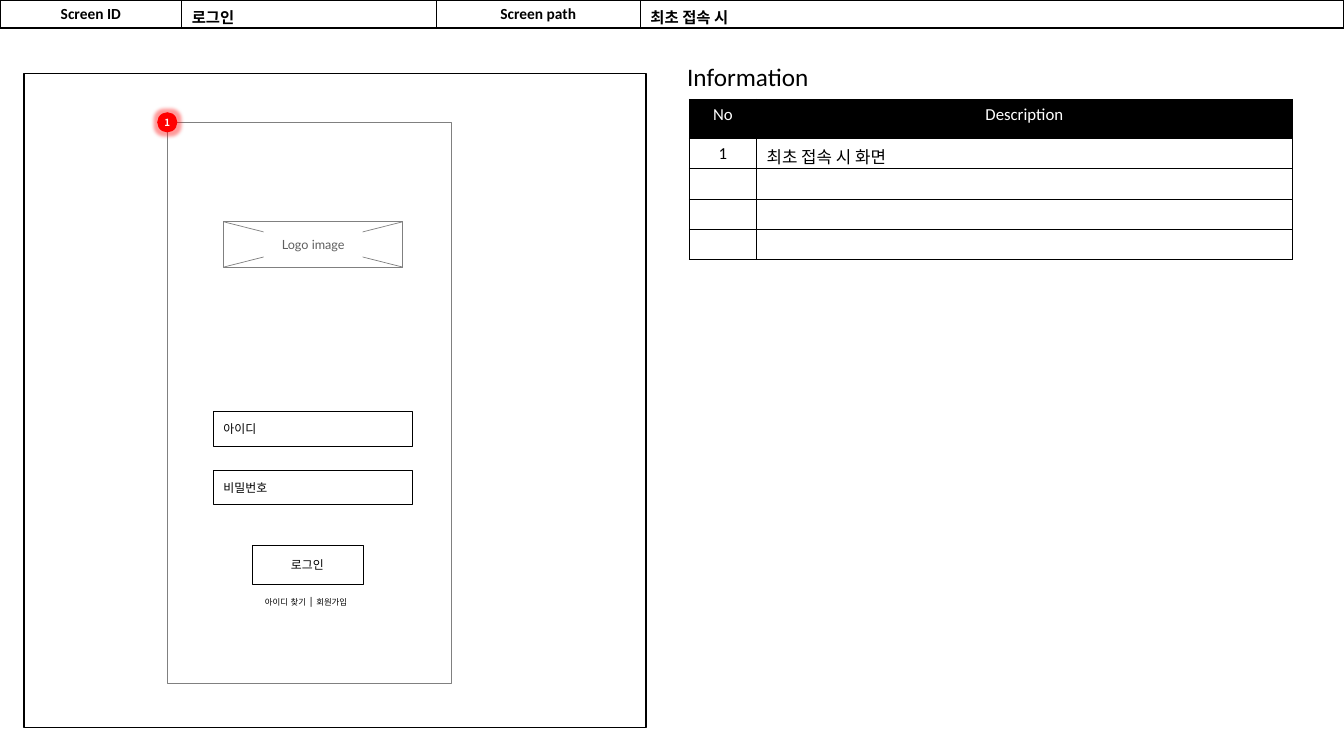
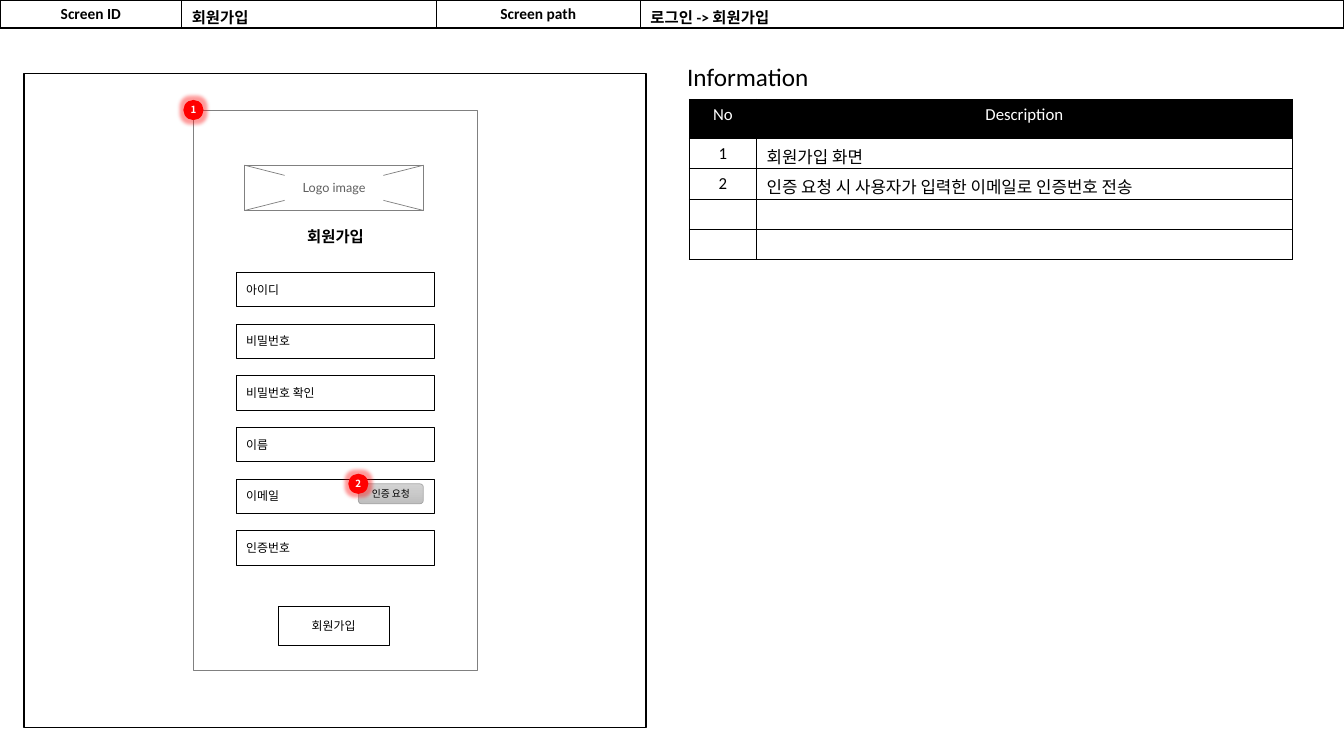
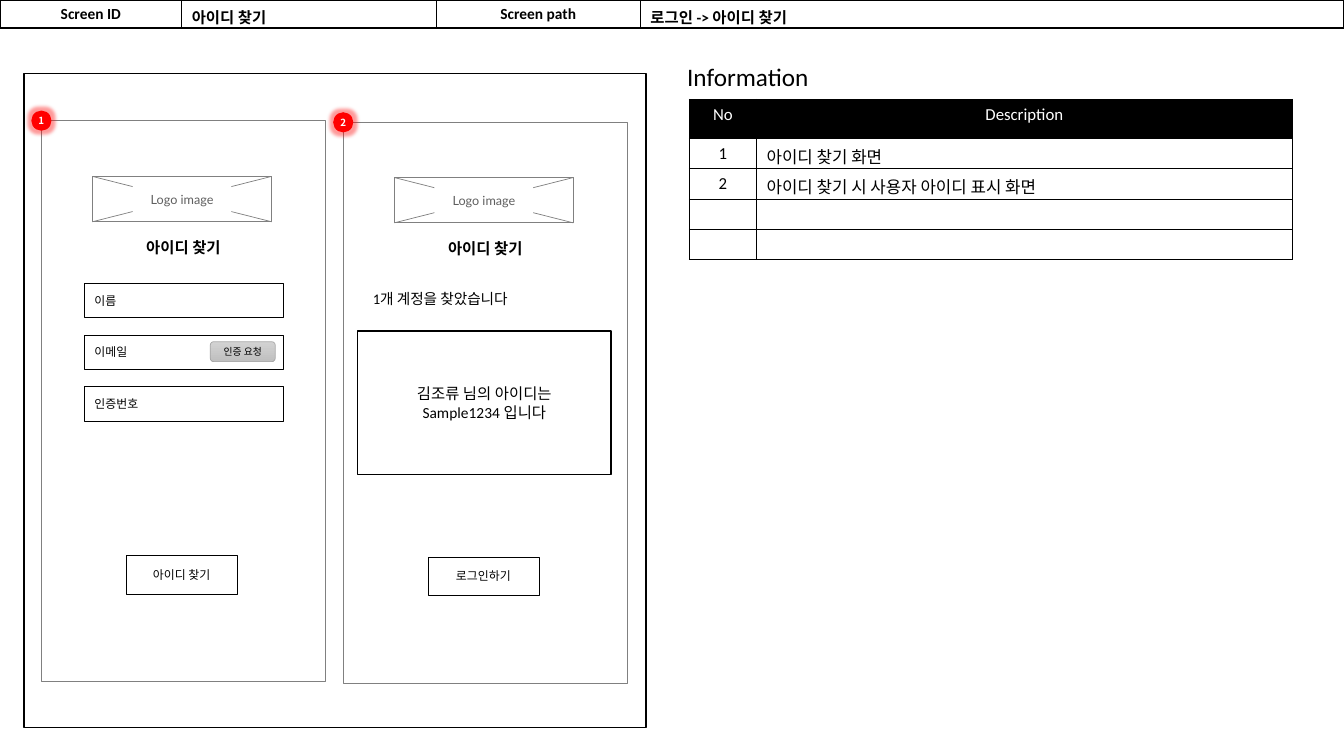
import pptx
import pptx.util
import pptx.dml.color
import pptx.enum.dml
import pptx.enum.shapes
import pptx.enum.text
import pptx.oxml
from dataclasses import dataclass

Pt = pptx.util.Pt
Kind = pptx.enum.shapes.MSO_SHAPE
Align = pptx.enum.text.PP_ALIGN
Mid = pptx.enum.text.MSO_ANCHOR
NS = 'xmlns:a="http://schemas.openxmlformats.org/drawingml/2006/main"'


@dataclass(frozen=True)
class Theme:
    ink: str = "000000"
    paper: str = "FFFFFF"
    frame: str = "808080"
    label: str = "5F5F5F"
    red: str = "FF0000"
    edge: str = "A5A5A5"
    shade: tuple = ("D2D2D2", "C0C0C0")
    sans: str = "Calibri"
    form: str = "Lato"
    mark: str = "Noto Sans CJK KR"
    head: float = 18
    body: float = 12
    band: float = 11
    note: float = 10.5
    logo: float = 9
    field: float = 8.5
    bar: float = 8
    small: float = 7
    link: float = 6


T = Theme()
rgb = pptx.dml.color.RGBColor.from_string


def write(frame, text, size, font=T.sans, color=T.ink, bold=False, align=Align.LEFT):
    """Fill a text frame; every paragraph gets the same font."""
    frame.word_wrap = True
    frame.text = text
    for para in frame.paragraphs:
        para.alignment = align
        para.font.size = Pt(size)
        para.font.name = font
        para.font.bold = bold
        para.font.color.rgb = rgb(color)


def draw(slide, kind, at, line=None, width=1, fill=T.paper):
    """Add a flat preset shape; at is left, top, width, height in points."""
    shape = slide.shapes.add_shape(kind, *map(Pt, at))
    shape.shadow.inherit = False
    shape.fill.solid()
    shape.fill.fore_color.rgb = rgb(fill)
    if line:
        shape.line.color.rgb = rgb(line)
        shape.line.width = Pt(width)
    else:
        shape.line.fill.background()
    shape.text_frame.vertical_anchor = Mid.MIDDLE
    return shape


# Sizes of the wireframe parts
PHONE = (203, 400.5)
LOGO = (128, 32.4)
LABEL = (70.6, 20.9)
FIELD = (141.6, 24.6)
BUTTON = (79.4, 27.6)
SEND = (46.4, 14.2)
DOT = 14.4

# Content: each phone holds offsets from its own top left corner
pages = [
    dict(name="로그인", way="최초 접속 시", notes=["최초 접속 시 화면"], phones=[
        dict(at=(119.5, 87.4), logo=(40.2, 71), title="", form=(33, 206.4), step=42,
             fields=["아이디", "비밀번호"], button=("로그인", 302.4)),
    ]),
    dict(name="회원가입", way="로그인 -> 회원가입",
         notes=["회원가입 화면", "인증 요청 시 사용자가 입력한 이메일로 인증번호 전송"], phones=[
        dict(at=(138.2, 78.6), logo=(36.4, 39.4), title="회원가입", form=(30.6, 115.8), step=36.9,
             fields=["아이디", "비밀번호", "비밀번호 확인", "이름", "이메일", "인증번호"],
             send=(87.2, 3.6), tag="2", button=("회원가입", 354.6)),
    ]),
    dict(name="아이디 찾기", way="로그인 -> 아이디 찾기",
         notes=["아이디 찾기 화면", "아이디 찾기 시 사용자 아이디 표시 화면"], phones=[
        dict(at=(29.6, 86.2), logo=(36.4, 39.8), title="아이디 찾기", form=(30.8, 116), step=36.9,
             fields=["이름", "이메일", "인증번호"], send=(89.8, 5), button=("아이디 찾기", 310.4)),
        dict(at=(245.2, 87.4), logo=(36.4, 39.4), title="아이디 찾기", form=(0, 0), step=0,
             fields=[], button=("로그인하기", 310.4)),
    ]),
]

deck = pptx.Presentation()
deck.slide_width, deck.slide_height = Pt(960), Pt(540)

for page in pages:
    slide = deck.slides.add_slide(deck.slide_layouts[6])
    draw(slide, Kind.RECTANGLE, (17.3, 52.4, 444.3, 467.3), T.ink)

    # Heading of the notes
    head = slide.shapes.add_textbox(Pt(483.8), Pt(40.6), Pt(108), Pt(29))
    write(head.text_frame, "Information", T.head)

    # Top band and notes table
    notes = [[str(no), note] for no, note in enumerate(page["notes"], 1)]
    notes += [["", ""]] * (4 - len(notes))
    grids = [
        dict(at=(0, 0), cols=[129.8, 181.8, 145.8, 502.6], rows=[20.2], size=T.band, bold=True,
             base=2, foot=0, mids=(0, 2), cells=[["Screen ID", page["name"], "Screen path", page["way"]]]),
        dict(at=(492.4, 71), cols=[48, 382.6], rows=[28, 21.6, 20, 21.6, 20], size=T.body, bold=False,
             base=1, foot=3.6, mids=(0,), cells=[["No", "Description"]] + notes),
    ]
    for grid in grids:
        cols, rows = grid["cols"], grid["rows"]
        table = slide.shapes.add_table(len(rows), len(cols), *map(Pt, grid["at"]),
                                       Pt(sum(cols)), Pt(sum(rows))).table
        for col, width in zip(table.columns, cols):
            col.width = Pt(width)
        for r, (row, high) in enumerate(zip(table.rows, rows)):
            row.height = Pt(high)
            for c, cell in enumerate(row.cells):
                dark = r == 0 and len(rows) > 1
                write(cell.text_frame, grid["cells"][r][c], grid["size"], bold=grid["bold"],
                      color=T.paper if dark else T.ink,
                      align=Align.CENTER if dark or c in grid["mids"] else Align.LEFT)
                cell.margin_bottom = Pt(grid["foot"])
                props = cell._tc.get_or_add_tcPr()
                for side in "LRTB":
                    wide = Pt(grid["base"] if side == "B" else 1)
                    props.append(pptx.oxml.parse_xml(
                        f'<a:ln{side} {NS} w="{wide}"><a:solidFill><a:srgbClr val="{T.ink}"/>'
                        f'</a:solidFill></a:ln{side}>'))
                if dark:
                    cell.fill.solid()
                    cell.fill.fore_color.rgb = rgb(T.ink)
                else:
                    cell.fill.background()
                if not cell.text:
                    cell.text_frame.paragraphs[0]._p.append(pptx.oxml.parse_xml(
                        f'<a:endParaRPr {NS} sz="{int(grid["size"] * 100)}"/>'))

    # Phone screens
    dots = []
    for no, phone in enumerate(page["phones"], 1):
        x, y = phone["at"]
        draw(slide, Kind.RECTANGLE, (x, y, *PHONE), T.frame, 0.5)
        dots.append((str(no), x, y))

        # Logo holder: crossed box with a label
        left, top = x + phone["logo"][0], y + phone["logo"][1]
        wide, high = LOGO
        draw(slide, Kind.RECTANGLE, (left, top, wide, high), T.frame, 0.5)
        for start, end in ((top, top + high), (top + high, top)):
            line = slide.shapes.add_connector(pptx.enum.shapes.MSO_CONNECTOR.STRAIGHT,
                                              Pt(left), Pt(start), Pt(left + wide), Pt(end))
            line.line.color.rgb = rgb(T.frame)
            line.line.width = Pt(0.5)
            line._element.spPr.append(pptx.oxml.parse_xml(f"<a:effectLst {NS}/>"))
        label = draw(slide, Kind.RECTANGLE, (left + (wide - LABEL[0]) / 2,
                                             top + (high - LABEL[1]) / 2, *LABEL))
        write(label.text_frame, "Logo image", T.logo, T.form, T.label, align=Align.CENTER)

        # Title
        if phone["title"]:
            title = slide.shapes.add_textbox(Pt(x + 63.4), Pt(y + 80), Pt(76.2), Pt(20.6))
            write(title.text_frame, phone["title"], T.band, bold=True, align=Align.CENTER)

        # Input fields, with the send button inside the mail field
        for i, name in enumerate(phone["fields"]):
            left, top = x + phone["form"][0], y + phone["form"][1] + i * phone["step"]
            field = draw(slide, Kind.RECTANGLE, (left, top, *FIELD), T.ink, 0.25)
            write(field.text_frame, name, T.field, T.form)
            if name == "이메일":
                left, top = left + phone["send"][0], top + phone["send"][1]
                send = draw(slide, Kind.ROUNDED_RECTANGLE, (left, top, *SEND), T.edge, 0.5)
                send.fill.gradient()
                send.fill.gradient_angle = 270
                for stop, shade in zip(send.fill.gradient_stops, T.shade):
                    stop.color.rgb = rgb(shade)
                write(send.text_frame, "인증 요청", T.small, align=Align.CENTER)
                if "tag" in phone:
                    dots.append((phone["tag"], left, top))

        # Main button
        name, drop = phone["button"]
        button = draw(slide, Kind.RECTANGLE, (x + 60.4, y + drop, *BUTTON), T.ink, 0.25)
        write(button.text_frame, name, T.field, T.form, align=Align.CENTER)

    # Links under the login button
    if page["name"] == "로그인":
        links = slide.shapes.add_textbox(Pt(164.2), Pt(421.2), Pt(108.8), Pt(20.8))
        write(links.text_frame, "", T.link, align=Align.CENTER)
        for i, word in enumerate(["아이디", " ", "찾기", " | ", "회원가입"]):
            run = links.text_frame.paragraphs[0].add_run()
            run.text = word
            run.font.size = Pt(T.bar if i % 2 else T.link)

    # Found account
    if page["name"] == "아이디 찾기":
        count = slide.shapes.add_textbox(Pt(259.2), Pt(203.8), Pt(136), Pt(20.8))
        write(count.text_frame, "1개 계정을 찾았습니다", T.note)
        found = draw(slide, Kind.RECTANGLE, (255.4, 236.4, 181.2, 102.6), T.ink)
        write(found.text_frame, "김조류 님의 아이디는\nSample1234 입니다", T.band, align=Align.CENTER)

    # Numbered markers, centred on the corner they mark
    for no, x, y in dots:
        dot = draw(slide, Kind.OVAL, (x - DOT / 2, y - DOT / 2, DOT, DOT), fill=T.red)
        frame = dot.text_frame
        frame.margin_left = frame.margin_right = frame.margin_top = frame.margin_bottom = 0
        write(frame, no, T.small, T.mark, T.paper, True, Align.CENTER)
        dot._element.spPr.find(pptx.oxml.ns.qn("a:effectLst")).append(pptx.oxml.parse_xml(
            f'<a:glow {NS} rad="{Pt(5)}"><a:srgbClr val="{T.red}"><a:alpha val="40000"/>'
            f'</a:srgbClr></a:glow>'))

deck.save("out.pptx")
